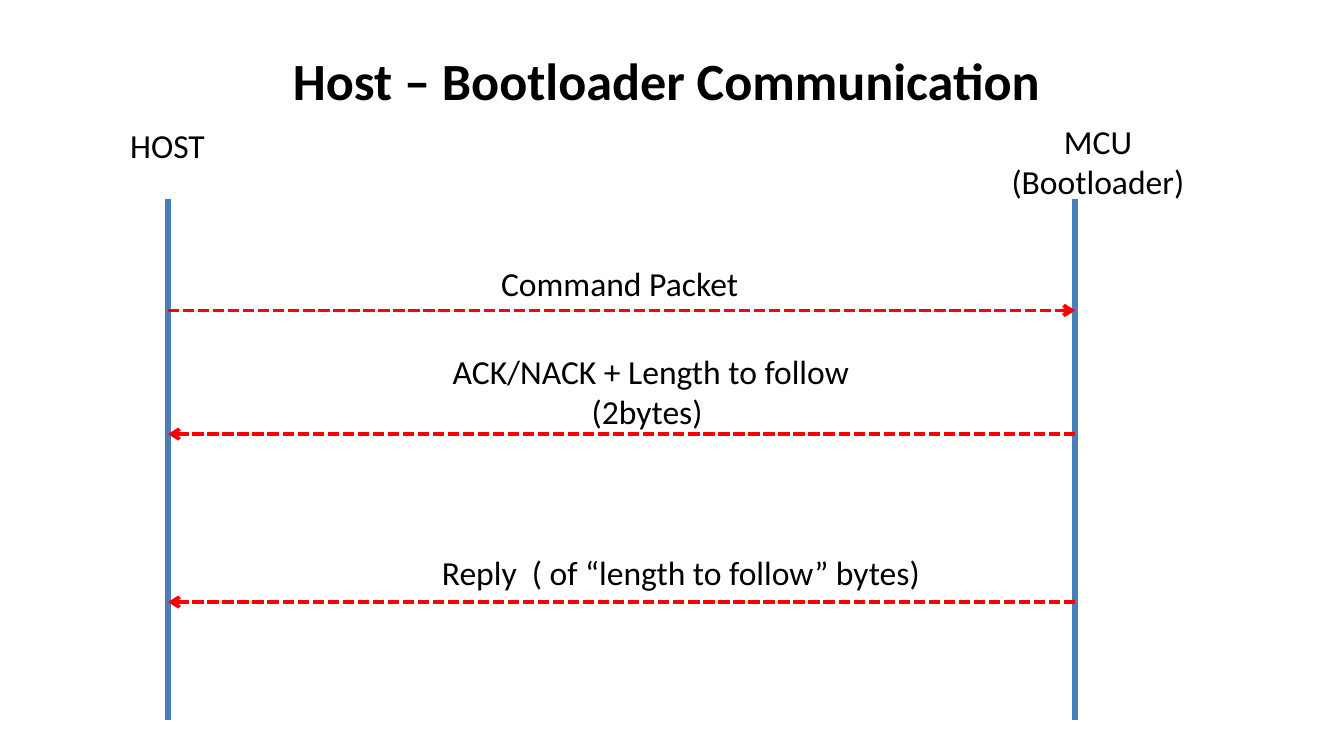
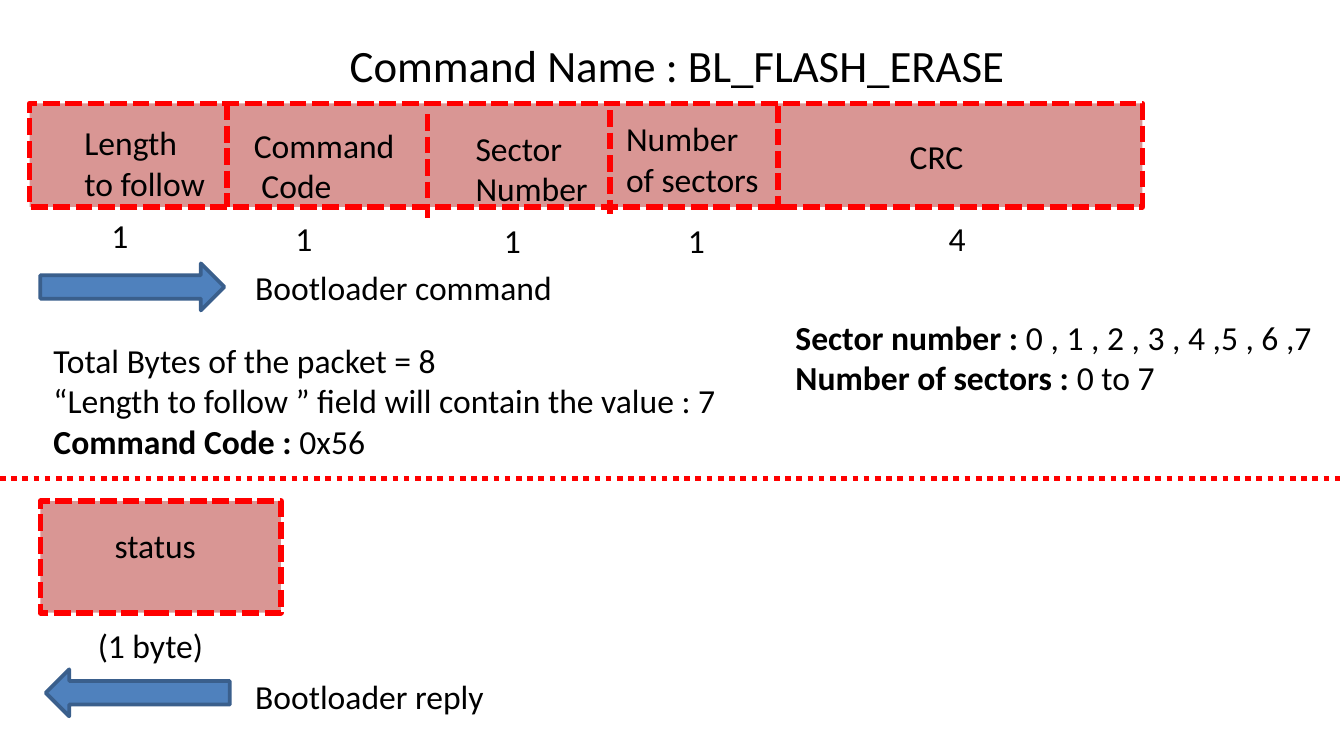
from lxml import etree
from pptx import Presentation, util as u
from pptx.dml.color import RGBColor
from pptx.enum import dml, shapes, text
from pptx.oxml.ns import qn

prs = Presentation()
prs.slide_width = u.Inches(10)
prs.slide_height = prs.slide_width * 9 // 16
CELL = prs.slide_width // 100  # square grid: 100 columns, 56.25 rows

FONT = "Calibri"
BLACK, RED, PINK = "000000", "FF0000", "D99694"
LIFELINE, ARROW, ARROW_EDGE = "4B7EBC", "4F81BD", "3A5F8C"
LEFT, CENTER = text.PP_ALIGN.LEFT, text.PP_ALIGN.CENTER
DASH, DOT = dml.MSO_LINE.SQUARE_DOT, dml.MSO_LINE.ROUND_DOT
SYS_DASH, SYS_DOT = "sysDash", "sysDot"
rgb = RGBColor.from_string


def style_line(ln, color, width, dash=None, arrow=False):
    ln.color.rgb = rgb(color)
    ln.width = u.Pt(width)
    xml = ln._get_or_add_ln()
    if dash:
        etree.SubElement(xml, qn("a:prstDash"), val=dash)
    if arrow:
        etree.SubElement(xml, qn("a:tailEnd"), type="arrow")


def write(s, at, *lines, size=18, bold=False, align=LEFT, wrap=False, sp=None):
    """Put lines in a text box, or in sp; a (label, value) line has a bold label."""
    at = [round(v * CELL) for v in at]
    if sp is None:
        sp = s.shapes.add_textbox(*at)
    sp.left, sp.top, sp.width, sp.height = at
    tf = sp.text_frame
    tf.word_wrap = wrap
    tf.auto_size = text.MSO_AUTO_SIZE.SHAPE_TO_FIT_TEXT
    tf.vertical_anchor = text.MSO_ANCHOR.TOP
    for i, line in enumerate(lines):
        p = tf.add_paragraph() if i else tf.paragraphs[0]
        p.alignment = align
        runs = [(line, bold)] if isinstance(line, str) else zip(line, (True, False))
        for words, heavy in runs:
            r = p.add_run()
            r.text = words
            r.font.name, r.font.size, r.font.bold = FONT, u.Pt(size), heavy
            r.font.color.rgb = rgb(BLACK)


talk, erase = [prs.slides.add_slide(prs.slide_layouts[5]) for _ in range(2)]

# Lines of both slides: slide, x1, y1, x2, y2, then the line style
HOST_X, MCU_X = 12.5, 80
lines = [(talk, x, 14.8, x, 53.6, LIFELINE, 3) for x in (HOST_X, MCU_X)]
lines += [(talk, x1, y, x2, y, RED, 2, SYS_DASH, True)
          for x1, x2, y in ((HOST_X, MCU_X, 23.1),
                            (MCU_X, HOST_X, 32.3),
                            (MCU_X, HOST_X, 44.8))]
PACKET_TOP, PACKET_H = 7.7, 7.7
lines += [(erase, x, PACKET_TOP + drop, x, PACKET_TOP + drop + PACKET_H, RED, 3, SYS_DASH)
          for x, drop in ((16.9, 0), (31.8, 0.8), (45.4, 0.5), (57.9, 0.2))]
lines.append((erase, 0, 35.6, 100, 35.6, RED, 3, SYS_DOT))

# Boxes and block arrows of the command slide
RECT, BLOCK_ARROW = shapes.MSO_SHAPE.RECTANGLE, shapes.MSO_SHAPE.RIGHT_ARROW
for kind, at, fill, edge, width, dash, turn in (
        (RECT, (3, 37.3, 17.9, 8.3), PINK, RED, 3, SYS_DASH, 0),
        (RECT, (2.2, PACKET_TOP, 82.8, PACKET_H), PINK, RED, 3, SYS_DASH, 0),
        (BLOCK_ARROW, (3, 19.6, 13.7, 3.5), ARROW, ARROW_EDGE, 2, None, 0),
        (BLOCK_ARROW, (3.4, 49.8, 13.7, 3.5), ARROW, ARROW_EDGE, 2, None, 180)):
    sp = erase.shapes.add_shape(kind, *[round(v * CELL) for v in at])
    sp.shadow.inherit = False
    sp.fill.solid()
    sp.fill.fore_color.rgb = rgb(fill)
    sp.rotation = turn
    style_line(sp.line, edge, width, dash)

for s, x1, y1, x2, y2, *style in lines:
    sp = s.shapes.add_connector(shapes.MSO_CONNECTOR.STRAIGHT,
                                *[round(v * CELL) for v in (x1, y1, x2, y2)])
    style_line(sp.line, *style)
    etree.SubElement(sp._element.spPr, qn("a:effectLst"))

# Host and bootloader conversation
write(talk, (20.8, 3.1, 59.1, 5.7), "Host – Bootloader Communication",
      size=28, bold=True, sp=talk.shapes.title)
write(talk, (8.7, 8.8, 7.6, 4), "HOST")
write(talk, (74.2, 8.5, 15, 7.1), "MCU", "(Bootloader)", align=CENTER)
write(talk, (36.3, 19.1, 19.9, 4), "Command Packet")
write(talk, (31.9, 25.6, 32.5, 7.1), " ACK/NACK + Length to follow", "(2bytes)", align=CENTER)
write(talk, (31.9, 40.6, 39.4, 4), "Reply  ( of “length to follow” bytes)")

# Erase command packet: fields with their byte counts below
write(erase, (24.8, 2.3, 51.9, 5), "Command Name : BL_FLASH_ERASE ",
      size=24, align=CENTER, sp=erase.shapes.title)
for x, y, w, h, field, count_x, count_y, count in (
        (5.3, 8.6, 11.6, 6.5, ("Length", "to follow"), 7.3, 15.5, "1"),
        (17.9, 8.8, 13.2, 6.5, ("Command", " Code"), 21, 15.7, "1"),
        (34.4, 9, 11, 6.5, ("Sector", "Number"), 36.5, 15.9, "1"),
        (45.6, 8.3, 12.5, 6.5, ("Number", "of sectors"), 50.2, 15.9, "1"),
        (66.7, 9.6, 6.3, 3.7, ("CRC",), 69.6, 15.7, "4")):
    write(erase, (x, y, w, h), *field)
    write(erase, (count_x, count_y, 3.5, 3.7), count)

write(erase, (18, 19.4, 24.4, 4), "Bootloader command")
write(erase, (3, 24.8, 52, 13.1), "Total Bytes of the packet = 8",
      "“Length to follow ” field will contain the value : 7",
      ("Command Code : ", "0x56"))
write(erase, (58.2, 23.1, 42.1, 7.1),
      ("Sector number : ", "0 , 1 , 2 , 3 , 4 ,5 , 6 ,7"),
      ("Number of sectors : ", "0 to 7"), wrap=True)

# Reply
write(erase, (7.5, 38.6, 8.1, 4), "status", align=CENTER)
write(erase, (6.2, 46, 10, 4), "(1 byte)", align=CENTER)
write(erase, (18, 49.8, 19.2, 4), "Bootloader reply")

prs.save("out.pptx")
